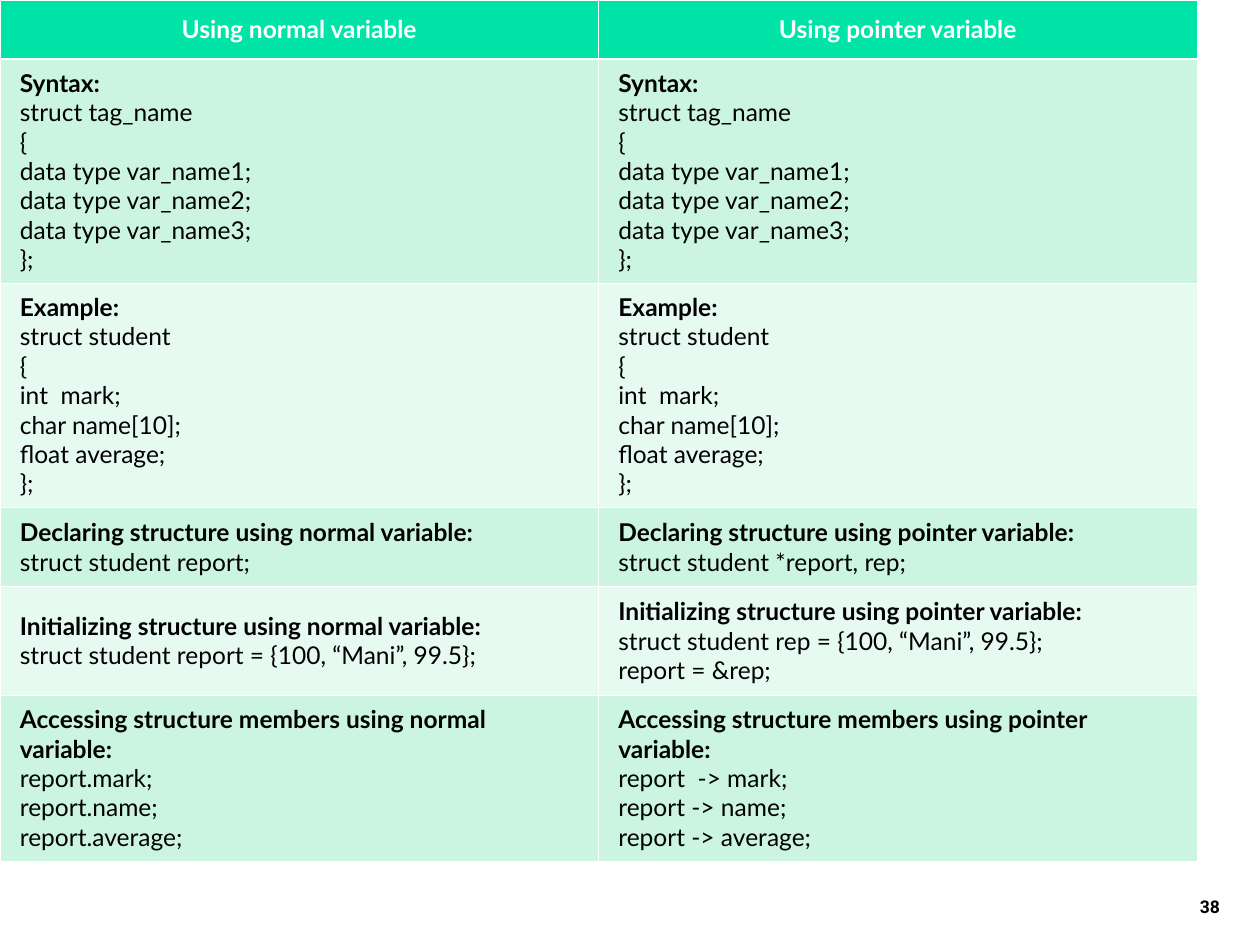
from lxml import etree
from pptx import Presentation
from pptx.dml.color import RGBColor
from pptx.enum.text import MSO_ANCHOR, PP_ALIGN
from pptx.oxml.ns import qn
from pptx.util import Cm, Pt

LEFT, MID, RIGHT = PP_ALIGN.LEFT, PP_ALIGN.CENTER, PP_ALIGN.RIGHT
CENTER, BOTTOM = MSO_ANCHOR.MIDDLE, MSO_ANCHOR.BOTTOM

THEME = {
    "head": "00E4A8", "dark": "CBF5E1", "light": "E7FAF1",
    "white": "FFFFFF", "black": "000000",
    "body": 14, "small": 10, "thin": 0.45, "thick": 1.47,
    "font": "Lato", "num": "Roboto",
}


def style(para, face, size, tint, bold, align):
    para.alignment = align
    for run in para.runs:
        run.font.name = face
        run.font.size = Pt(size)
        run.font.bold = bold
        run.font.color.rgb = RGBColor.from_string(tint)


def edge(cell, side, width):
    line = etree.SubElement(cell._tc.get_or_add_tcPr(), qn("a:ln" + side), w=str(Pt(width)))
    fill = etree.SubElement(line, qn("a:solidFill"))
    etree.SubElement(fill, qn("a:srgbClr"), val=THEME["white"])


syntax = """Syntax:
struct tag_name
{
data type var_name1;
data type var_name2;
data type var_name3;
};"""
sample = """Example:
struct student
{
int  mark;
char name[10];
float average;
};"""
rows = [
    (1.19, "Using normal variable", "Using pointer variable"),
    (4.52, syntax, syntax),
    (4.52, sample, sample),
    (1.6,
     "Declaring structure using normal variable:\nstruct student report;",
     "Declaring structure using pointer variable:\nstruct student *report, rep;"),
    (2.18,
     "Initializing structure using normal variable:\n"
     "struct student report = {100, “Mani”, 99.5};",
     "Initializing structure using pointer variable:\n"
     "struct student rep = {100, “Mani”, 99.5};\nreport = &rep;"),
    (3.35,
     "Accessing structure members using normal variable:\n"
     "report.mark;\nreport.name;\nreport.average;",
     "Accessing structure members using pointer variable:\n"
     "report  -> mark;\nreport -> name;\nreport -> average;"),
]

deck = Presentation()
deck.slide_width, deck.slide_height = Cm(25.4), Cm(19.05)
slide = deck.slides.add_slide(deck.slide_layouts[6])

frame = slide.shapes.add_textbox(Cm(19.56), Cm(17.35), Cm(5.28), Cm(1.27)).text_frame
frame.word_wrap = True
frame.vertical_anchor = BOTTOM
frame.text = "38"
style(frame.paragraphs[0], THEME["num"], THEME["small"], THEME["black"], True, RIGHT)

high = sum(row[0] for row in rows)
table = slide.shapes.add_table(len(rows), 2, 0, 0, Cm(24.13), Cm(high)).table
table.first_row = table.horz_banding = False

for r, (tall, *texts) in enumerate(rows):
    table.rows[r].height = Cm(tall)
    head = r == 0
    shade = "head" if head else "dark" if r % 2 else "light"
    tint = THEME["white" if head else "black"]
    for c, text in enumerate(texts):
        cell = table.cell(r, c)
        cell.margin_left = cell.margin_right = Cm(0.4)
        cell.margin_top = cell.margin_bottom = Cm(0.13)
        cell.vertical_anchor = CENTER
        for side in "LRTB":
            thick = (r, side) in [(0, "B"), (1, "T")]
            edge(cell, side, THEME["thick" if thick else "thin"])
        cell.fill.solid()
        cell.fill.fore_color.rgb = RGBColor.from_string(THEME[shade])
        cell.text_frame.text = text
        for i, para in enumerate(cell.text_frame.paragraphs):
            style(para, THEME["font"], THEME["body"], tint, i == 0, MID if head else LEFT)

deck.save("out.pptx")
